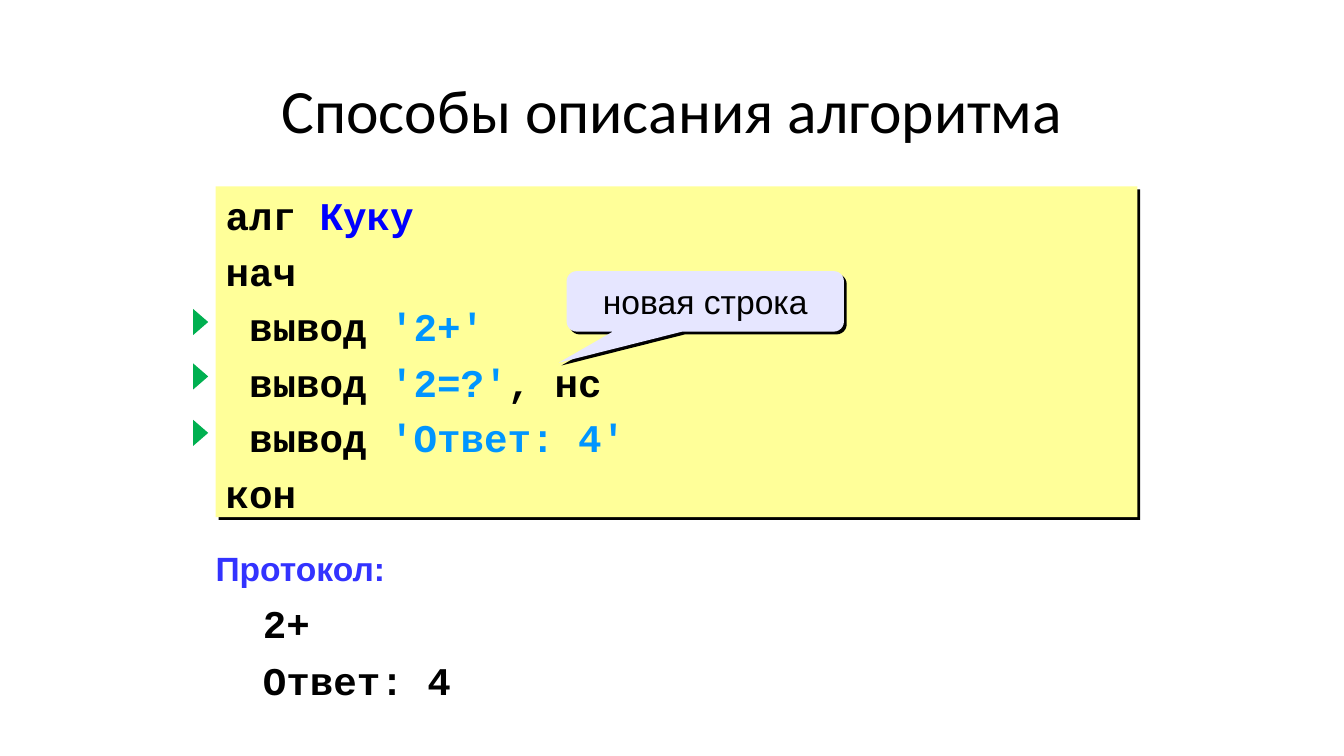
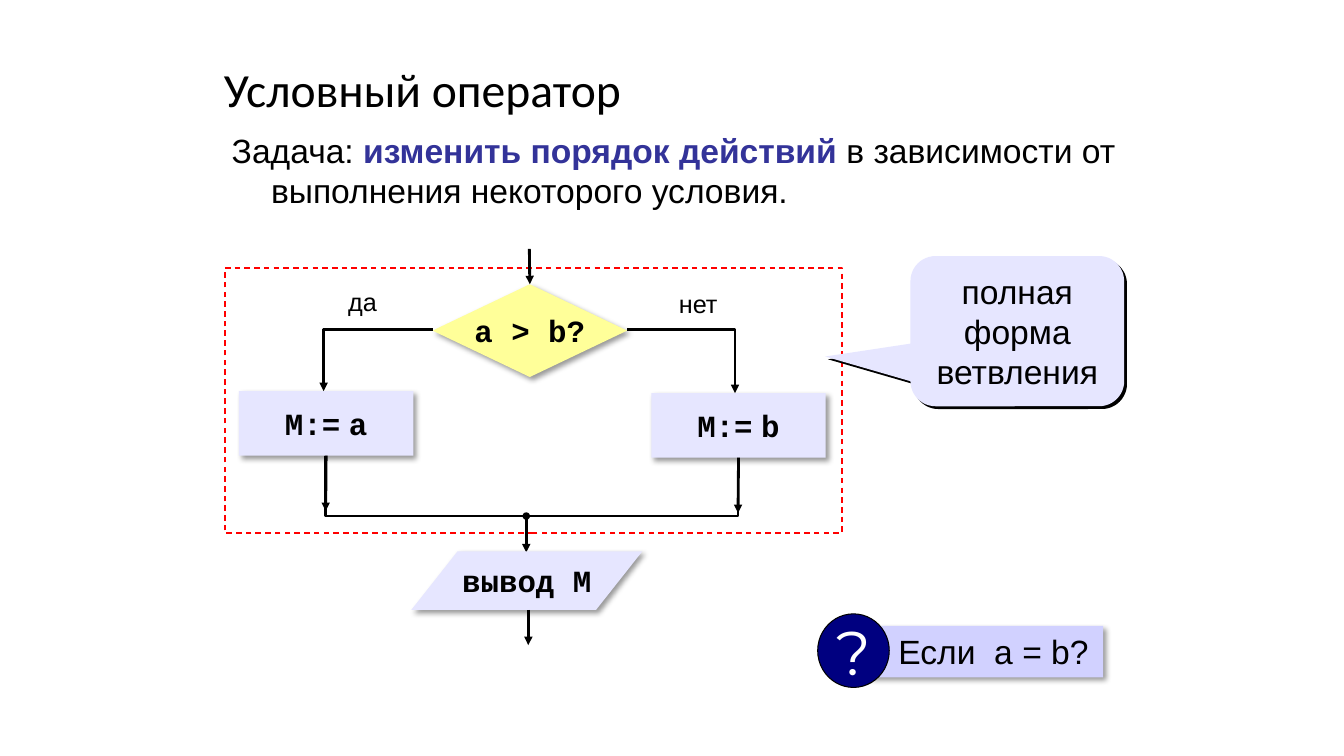
from lxml import etree
from pptx import Presentation
from pptx.dml.color import RGBColor
from pptx.enum.dml import MSO_LINE
from pptx.enum.shapes import MSO_CONNECTOR, MSO_SHAPE
from pptx.enum.text import MSO_ANCHOR, PP_ALIGN
from pptx.oxml.ns import qn
from pptx.util import Inches, Pt

BLACK = RGBColor(0x00, 0x00, 0x00)
WHITE = RGBColor(0xFF, 0xFF, 0xFF)
YELLOW = RGBColor(0xFF, 0xFF, 0x99)
LAVENDER = RGBColor(0xE6, 0xE6, 0xFF)
LILAC = RGBColor(0xD1, 0xD1, 0xFF)
NAVY = RGBColor(0x00, 0x00, 0x80)
GREEN = RGBColor(0x00, 0xB0, 0x50)
RED = RGBColor(0xFF, 0x00, 0x00)
NAME_BLUE = RGBColor(0x00, 0x00, 0xFF)
STRING_BLUE = RGBColor(0x00, 0x95, 0xFF)
HEADING_BLUE = RGBColor(0x33, 0x33, 0xFF)
EMPHASIS_BLUE = RGBColor(0x33, 0x33, 0x99)

TEXT_FONT, CODE_FONT, TITLE_FONT = "Arial", "Courier New", "Calibri"
HARD = dict(alpha=100, blur=0, distance=2.8)
SOFT = dict(alpha=40, blur=4, distance=3)


def box(left, top, width, height):
    return [Inches(value) for value in (left, top, width, height)]


def format_paragraph(paragraph, size, font=TEXT_FONT, color=BLACK, bold=False,
                     align=PP_ALIGN.LEFT, before=0):
    paragraph.font.size = Pt(size)
    paragraph.font.name = font
    paragraph.font.color.rgb = color
    paragraph.font.bold = bold
    paragraph.alignment = align
    paragraph.space_before = Pt(before)


def write(shape, lines, size, anchor=MSO_ANCHOR.TOP, wrap=True, **style):
    """Fill a shape with lines, each a string or a list of (text, color) runs."""
    frame = shape.text_frame
    frame.word_wrap = wrap
    frame.vertical_anchor = anchor
    for index, line in enumerate(lines):
        paragraph = frame.add_paragraph() if index else frame.paragraphs[0]
        format_paragraph(paragraph, size, **style)
        for text, color in [(line, None)] if isinstance(line, str) else line:
            run = paragraph.add_run()
            run.text = text
            if color is not None:
                run.font.color.rgb = color
    return frame


def write_centred(shape, text, size, **style):
    return write(shape, [text], size, anchor=MSO_ANCHOR.MIDDLE,
                 align=PP_ALIGN.CENTER, **style)


def indent(paragraph, margin, first=0):
    properties = paragraph._p.get_or_add_pPr()
    properties.set("marL", str(Inches(margin)))
    properties.set("indent", str(Inches(first)))


def add_shadow(shape, alpha, blur, distance):
    effects = shape._element.spPr.find(qn("a:effectLst"))
    shadow = etree.SubElement(
        effects, qn("a:outerShdw"), blurRad=str(Pt(blur)), dist=str(Pt(distance)),
        dir="2700000", algn="ctr", rotWithShape="0")
    color = etree.SubElement(shadow, qn("a:srgbClr"), val=str(BLACK))
    etree.SubElement(color, qn("a:alpha"), val=str(alpha * 1000))


def add_shape(slide, kind, place, fill=None, shadow=None, line=None, width=1):
    shape = slide.shapes.add_shape(kind, *box(*place))
    if fill is None:
        shape.fill.background()
    else:
        shape.fill.solid()
        shape.fill.fore_color.rgb = fill
    if line is None:
        shape.line.fill.background()
    else:
        shape.line.color.rgb = line
        shape.line.width = Pt(width)
    shape.shadow.inherit = False
    if shadow:
        add_shadow(shape, **shadow)
    return shape


def add_callout(slide, place, tip, text):
    callout = add_shape(slide, MSO_SHAPE.ROUNDED_RECTANGULAR_CALLOUT, place,
                        LAVENDER, HARD)
    for index, value in enumerate((*tip, 0.167)):
        callout.adjustments[index] = value
    write_centred(callout, text, 24)


def format_flow_line(line, arrow=True):
    line.color.rgb = BLACK
    line.width = Pt(2)
    if arrow:
        etree.SubElement(line._get_or_add_ln(), qn("a:tailEnd"), type="triangle")


def add_arrow(slide, x, top, bottom):
    arrow = slide.shapes.add_connector(
        MSO_CONNECTOR.STRAIGHT, Inches(x), Inches(top), Inches(x), Inches(bottom))
    format_flow_line(arrow.line)
    etree.SubElement(arrow._element.spPr, qn("a:effectLst"))
    return arrow


def add_polyline(slide, points, arrow=True):
    start, *others = [(Inches(x), Inches(y)) for x, y in points]
    builder = slide.shapes.build_freeform(*start)
    builder.add_line_segments(others, close=False)
    shape = builder.convert_to_shape()
    shape.fill.background()
    shape.shadow.inherit = False
    format_flow_line(shape.line, arrow)


def add_titled_slide(presentation, title, place, size, align, spacing):
    slide = presentation.slides.add_slide(presentation.slide_layouts[5])
    shape = slide.shapes.title
    shape.left, shape.top, shape.width, shape.height = box(*place)
    frame = write(shape, [title], size, anchor=MSO_ANCHOR.MIDDLE,
                  font=TITLE_FONT, align=align)
    frame.paragraphs[0].line_spacing = spacing
    return slide


def add_listing(slide, left, top):
    listing = add_shape(slide, MSO_SHAPE.RECTANGLE, (left, top, 9.14, 3.28),
                        YELLOW, HARD)
    output = (" вывод ", None)
    write(listing, [
        [("алг ", None), ("Куку", NAME_BLUE)],
        "нач",
        [output, ("'2+'", STRING_BLUE)],
        [output, ("'2=?'", STRING_BLUE), (", нс", None)],
        [output, ("'Ответ: 4'", STRING_BLUE)],
        "кон",
    ], 28, font=CODE_FONT, bold=True, before=6)
    for offset in (1.27, 1.81, 2.37):
        marker = add_shape(slide, MSO_SHAPE.ISOSCELES_TRIANGLE,
                           (left - 0.28, top + offset, 0.26, 0.15), GREEN)
        marker.rotation = 90
    add_callout(slide, (left + 3.48, top + 0.84, 2.75, 0.6), (-0.529, 1.015),
                "новая строка")


def add_protocol(slide, left, top):
    shape = slide.shapes.add_textbox(*box(left, top, 9.06, 1.64))
    frame = write(shape, ["Протокол:", "2+", "Ответ: 4"], 28, font=CODE_FONT,
                  bold=True, before=7.5)
    heading, *results = frame.paragraphs
    format_paragraph(heading, 24, color=HEADING_BLUE, bold=True)
    for paragraph in results:
        indent(paragraph, 0.47)


def add_task(slide, left, top):
    shape = slide.shapes.add_textbox(*box(left, top, 9.25, 0.91))
    frame = write(shape, [[
        ("Задача: ", None),
        ("изменить порядок действий", EMPHASIS_BLUE),
        (" в зависимости от выполнения некоторого условия.", None),
    ]], 24)
    paragraph = frame.paragraphs[0]
    indent(paragraph, 0.39, -0.39)
    paragraph.runs[1].font.bold = True


def add_flow_step(slide, kind, place, text, fill=LAVENDER):
    step = add_shape(slide, kind, place, fill, SOFT)
    write_centred(step, text, 22, wrap=False, font=CODE_FONT, bold=True)
    return step


def add_branch(slide, left, top, variable, answer, label_place, corner_x, elbow):
    label = slide.shapes.add_textbox(*box(*label_place, 0.75, 0.4))
    write(label, [answer], 18, align=PP_ALIGN.CENTER)
    step = add_flow_step(slide, MSO_SHAPE.RECTANGLE, (left, top, 1.73, 0.64),
                         [("M:=", None), (" ", None), (variable, None)])
    step.text_frame.paragraphs[0].runs[1].font.name = TEXT_FONT
    add_polyline(slide, [elbow, (corner_x, elbow[1]), (corner_x, top)])
    arrow = add_arrow(slide, left + 0.86, top + 0.64, top + 1.19)
    arrow.begin_connect(step, 2)


def add_branching(slide, left, top):
    frame = add_shape(slide, MSO_SHAPE.RECTANGLE, (left, top, 6.12, 2.63), line=RED)
    frame.line.dash_style = MSO_LINE.DASH

    decision = add_flow_step(slide, MSO_SHAPE.FLOWCHART_DECISION,
                             (left + 2.06, top + 0.16, 1.93, 0.92), "a > b?", YELLOW)
    add_arrow(slide, left + 3.02, top - 0.19, top + 0.16).end_connect(decision, 0)
    branch_y = top + 0.61
    add_branch(slide, left + 0.14, top + 1.22, "a", "да", (left + 0.99, top + 0.13),
               left + 0.98, (left + 2.06, branch_y))
    add_branch(slide, left + 4.23, top + 1.24, "b", "нет", (left + 4.32, top + 0.15),
               left + 5.06, (left + 3.99, branch_y))

    join_x, join_y = left + 2.99, top + 2.46
    yes_x, no_x = left + 1, left + 5.09
    add_polyline(slide, [(yes_x, top + 1.86), (yes_x, join_y),
                         (no_x, join_y), (no_x, top + 1.88)], arrow=False)
    add_shape(slide, MSO_SHAPE.OVAL, (join_x - 0.03, join_y - 0.03, 0.06, 0.06),
              BLACK, line=BLACK)
    add_arrow(slide, join_x, join_y, top + 2.82)
    add_flow_step(slide, MSO_SHAPE.FLOWCHART_DATA,
                  (left + 1.85, top + 2.81, 2.29, 0.58), "вывод M")
    add_arrow(slide, left + 3.01, top + 3.39, top + 3.74)


def add_question(slide, left, top):
    banner = add_shape(slide, MSO_SHAPE.RECTANGLE,
                       (left + 0.51, top + 0.12, 2.32, 0.51), LILAC, SOFT)
    write(banner, ["Если  a = b?"], 24).margin_left = Inches(0.29)
    badge = add_shape(slide, MSO_SHAPE.OVAL, (left, top, 0.71, 0.73), NAVY,
                      line=BLACK, width=0.75)
    write_centred(badge, "?", 44, wrap=False, font="Montserrat", color=WHITE)


def add_algorithm_slide(presentation):
    slide = add_titled_slide(presentation, "Способы описания алгоритма",
                             (0.92, 0.4, 11.5, 1.45), 44, PP_ALIGN.CENTER, 0.9)
    add_listing(slide, 2.14, 1.85)
    add_protocol(slide, 2.04, 5.39)


def add_condition_slide(presentation):
    slide = add_titled_slide(presentation, "Условный оператор",
                             (2.12, 0.69, 9.16, 0.52), 34, PP_ALIGN.LEFT, 0.7)
    add_task(slide, 2.2, 1.24)
    add_branching(slide, 2.23, 2.66)
    add_callout(slide, (9.03, 2.54, 2.12, 1.49), (-0.899, 0.169),
                "полная форма ветвления")
    add_question(slide, 8.11, 6.09)


def main():
    presentation = Presentation()
    presentation.slide_width = Inches(13.33)
    presentation.slide_height = Inches(7.5)
    add_algorithm_slide(presentation)
    add_condition_slide(presentation)
    presentation.save("out.pptx")


if __name__ == "__main__":
    main()
